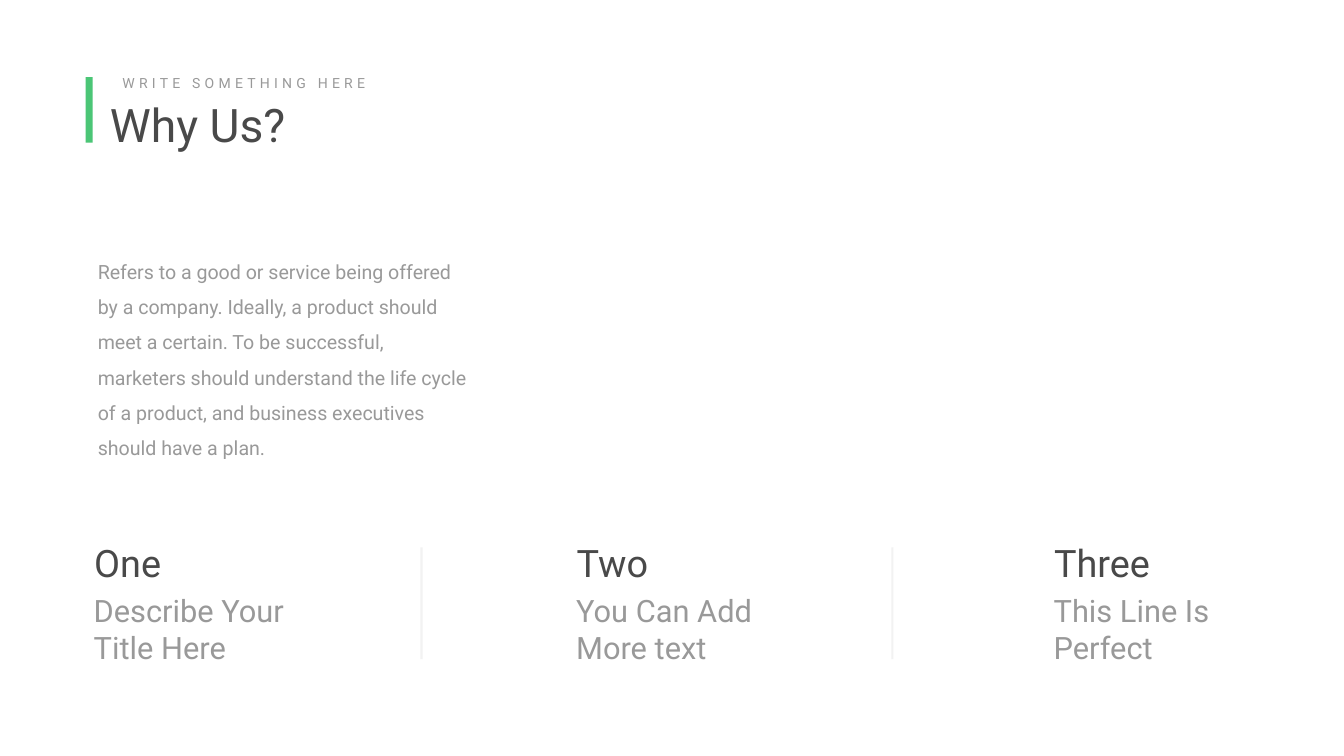
from typing import NamedTuple

from lxml.etree import SubElement
from pptx import Presentation
from pptx.dml.color import RGBColor
from pptx.enum.shapes import MSO_CONNECTOR as Link, MSO_SHAPE as Shape
from pptx.enum.text import MSO_ANCHOR as Anchor, MSO_AUTO_SIZE as Fit, PP_ALIGN as Align
from pptx.oxml.ns import qn
from pptx.util import Pt

DARK = RGBColor(0x49, 0x49, 0x49)
GRAY = RGBColor(0x99, 0x99, 0x99)
GREEN = RGBColor(0x4B, 0xC6, 0x76)
RULE = RGBColor(0x80, 0x80, 0x80)
WHITE = RGBColor(0xFF, 0xFF, 0xFF)
FONT = "Roboto"


class Box(NamedTuple):
    left: float
    top: float
    width: float
    height: float


class Column(NamedTuple):
    left: float
    head: str
    label: str
    width: float  # of the label


COLUMNS = [
    Column(100, "One", "Describe Your Title Here", 371.5),
    Column(789, "Two", "You Can Add More text", 365),
    Column(1471, "Three", "This Line Is Perfect", 316),
]
RULES = [602, 1274.4]


def write(slide, text: str, box: Box, size: float, color: RGBColor, *, shape=None,
          inset: float = 7.2, lead: float = 1.0, track: int = 0):
    """Fill the given shape, or a new text box, with one paragraph."""
    if shape is None:
        shape = slide.shapes.add_textbox(0, 0, 0, 0)
    shape.left, shape.top, shape.width, shape.height = map(Pt, box)
    frame = shape.text_frame
    frame.word_wrap = True
    frame.auto_size = Fit.SHAPE_TO_FIT_TEXT
    frame.vertical_anchor = Anchor.TOP
    frame.margin_left = frame.margin_right = Pt(inset)
    frame.margin_top = frame.margin_bottom = Pt(inset / 2)
    para = frame.paragraphs[0]
    para.alignment = Align.LEFT
    para.line_spacing = lead
    para.space_before = Pt(0)
    run = para.add_run()
    run.text = text
    run.font.name = FONT
    run.font.size = Pt(size)
    run.font.color.rgb = color
    if track:  # letter spacing, in hundredths of a point
        run.font._element.set("spc", str(track))


def draw_rule(slide, x: float, top: float, end: float) -> None:
    """Draw a faint vertical divider."""
    line = slide.shapes.add_connector(Link.STRAIGHT, Pt(x), Pt(top), Pt(x), Pt(end))
    line.line.width = Pt(3)
    line.line.color.rgb = RULE
    props = line._element.spPr
    tint = next(props.iter(qn("a:srgbClr")))
    SubElement(tint, qn("a:alpha"), val="10000")
    SubElement(props, qn("a:effectLst"))


def draw_column(slide, col: Column) -> None:
    write(slide, col.head, Box(col.left, 753.8, 349, 100), 54, DARK, inset=34.56)
    write(slide, col.label, Box(col.left - 0.7, 828.7, col.width, 141), 44, GRAY,
          inset=34.56)


def main() -> None:
    deck = Presentation()
    deck.slide_width, deck.slide_height = Pt(1919.52), Pt(1080)
    slide = deck.slides.add_slide(deck.slide_layouts[5])
    slide.background.fill.solid()
    slide.background.fill.fore_color.rgb = WHITE

    # Heading with its green bar
    write(slide, "Why Us?", Box(149.8, 133.9, 805.7, 87.1), 66, DARK,
          shape=slide.shapes.title)
    write(slide, "WRITE SOMETHING HERE", Box(167.8, 102.2, 429, 31.7), 20, GRAY, track=600)
    bar = slide.shapes.add_shape(Shape.RECTANGLE, Pt(122.4), Pt(110.2), Pt(10), Pt(93.6))
    bar.shadow.inherit = False
    bar.fill.solid()
    bar.fill.fore_color.rgb = GREEN
    bar.line.fill.background()

    # Three columns and the dividers between them
    for col in COLUMNS:
        draw_column(slide, col)
    for x in RULES:
        draw_rule(slide, x, 782, 941.8)

    # Body text
    write(slide, "Refers to a good or service being offered by a company. Ideally, "
          "a product should meet a certain. To be successful, marketers should "
          "understand the life cycle of a product, and business executives should "
          "have a plan.", Box(122.4, 345.6, 572.4, 266.4), 28, GRAY,
          inset=17.28, lead=1.5)

    deck.save("out.pptx")


if __name__ == "__main__":
    main()
